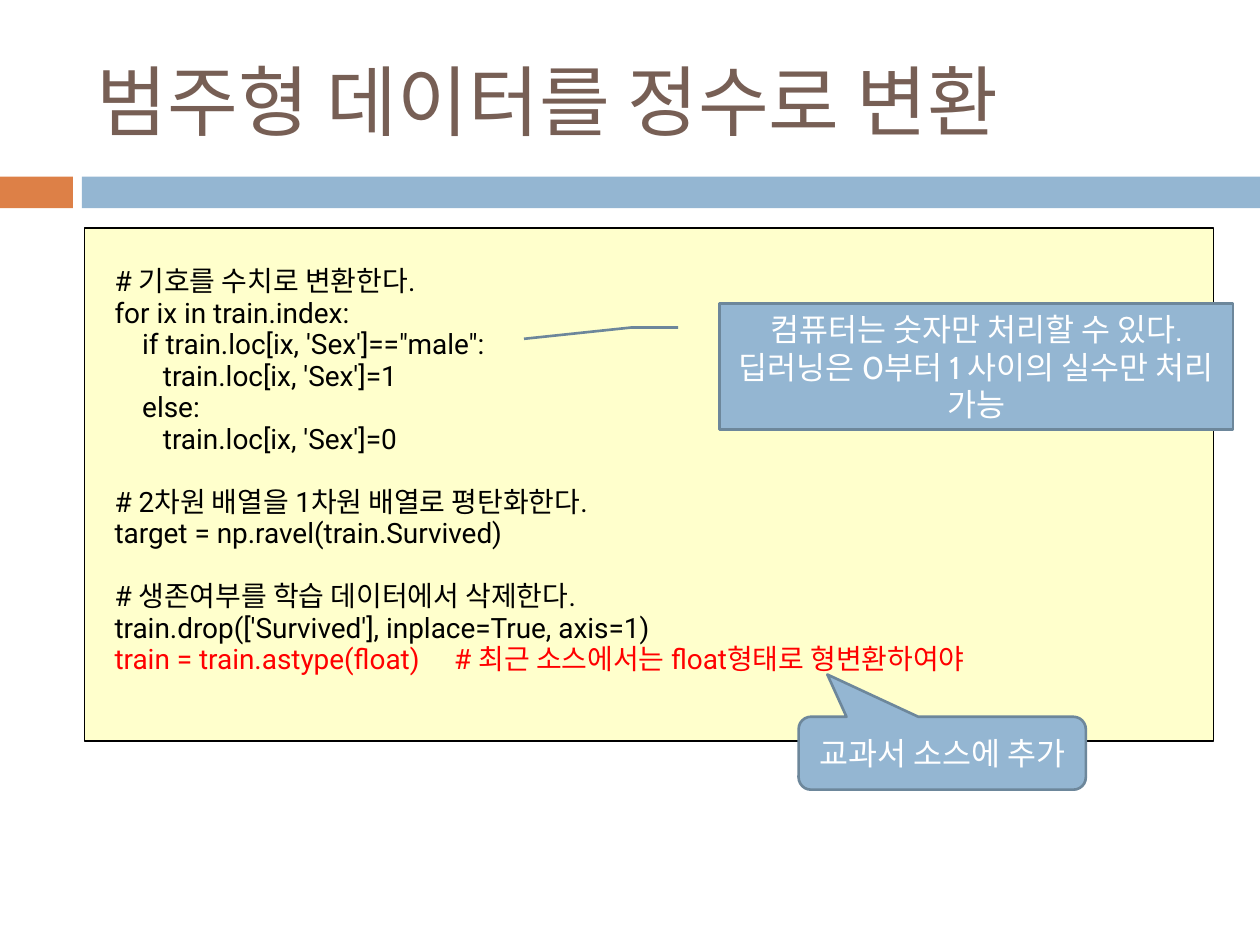
import pptx
import pptx.dml.color
import pptx.enum.shapes
import pptx.enum.text
import pptx.util

Cm = pptx.util.Cm
Pt = pptx.util.Pt
KIND = pptx.enum.shapes.MSO_SHAPE
ALIGN = pptx.enum.text.PP_ALIGN
ANCHOR = pptx.enum.text.MSO_ANCHOR

COLORS = {
    "title": "775F55",
    "orange": "DD8047",
    "blue": "94B6D2",
    "edge": "6D879B",
    "cream": "FFFFCC",
    "black": "000000",
    "red": "FF0000",
    "white": "FFFFFF",
}

CODE = """# 기호를 수치로 변환한다.
for ix in train.index:
    if train.loc[ix, 'Sex']=="male":
       train.loc[ix, 'Sex']=1
    else:
       train.loc[ix, 'Sex']=0

# 2차원 배열을 1차원 배열로 평탄화한다.
target = np.ravel(train.Survived)

# 생존여부를 학습 데이터에서 삭제한다.
train.drop(['Survived'], inplace=True, axis=1)
train = train.astype(float)     # 최근 소스에서는 float형태로 형변환하여야"""


def color(name):
    return pptx.dml.color.RGBColor.from_string(COLORS[name])


def style(para, font, size, tint):
    for run in para.runs:
        run.font.name = font
        run.font.size = Pt(size)
        run.font.color.rgb = color(tint)


def add_box(slide, kind, box, fill, edge=None, width=0):
    shape = slide.shapes.add_shape(kind, *map(Cm, box))
    shape.shadow.inherit = False
    shape.fill.solid()
    shape.fill.fore_color.rgb = color(fill)
    if edge:
        shape.line.color.rgb = color(edge)
        shape.line.width = Pt(width)
    else:
        shape.line.fill.background()
    return shape


def add_band(slide, box):
    left, top, width, height = box
    tab, gap = 1.47, 0.18
    start = tab + gap
    add_box(slide, KIND.RECTANGLE, (left, top, tab, height), "orange")
    add_box(slide, KIND.RECTANGLE,
            (left + start, top, width - start, height), "blue")


def set_title(slide, box, text):
    title = slide.shapes.title
    title.left, title.top, title.width, title.height = map(Cm, box)
    frame = title.text_frame
    frame.text = text
    frame.auto_size = pptx.enum.text.MSO_AUTO_SIZE.NONE
    frame.vertical_anchor = ANCHOR.MIDDLE
    frame.paragraphs[0].alignment = ALIGN.LEFT
    style(frame.paragraphs[0], "Cabin", 44, "title")


def add_code(slide, box, code):
    shape = add_box(slide, KIND.RECTANGLE, box, "cream", "black", 0.75)
    frame = shape.text_frame
    frame.vertical_anchor = ANCHOR.TOP
    frame.margin_left = Cm(0.61)
    frame.margin_top = Cm(0.76)
    blocks = code.split("\n\n")
    frame.text = "\n".join(blocks)
    starts = {block.split("\n")[0] for block in blocks[1:]}
    for para in frame.paragraphs:
        para.alignment = ALIGN.LEFT
        para.line_spacing = Pt(18)
        if para.text in starts:
            para.space_before = Pt(18)
        style(para, "Roboto", 16, "black")
    style(frame.paragraphs[-1], "Roboto", 16, "red")


def add_note(slide, box, kind, points, text):
    shape = add_box(slide, kind, box, "blue", "edge", 1.5)
    for index, point in enumerate(points):
        shape.adjustments[index] = point
    frame = shape.text_frame
    frame.text = text
    frame.word_wrap = True
    frame.vertical_anchor = ANCHOR.MIDDLE
    frame.paragraphs[0].alignment = ALIGN.CENTER
    style(frame.paragraphs[0], "Cabin", 18, "white")


def main():
    deck = pptx.Presentation()
    deck.slide_width, deck.slide_height = Cm(25.4), Cm(19.05)
    slide = deck.slides.add_slide(deck.slide_layouts[5])
    add_band(slide, (0, 3.56, 25.4, 0.64))
    set_title(slide, (1.7, 0.64, 22.66, 2.74), "범주형 데이터를 정수로 변환")
    add_code(slide, (1.7, 4.6, 22.76, 10.34), CODE)
    add_note(slide, (16.1, 14.45, 5.79, 1.47), KIND.ROUNDED_RECTANGULAR_CALLOUT,
             (-0.4, -1.08, 0.17), "교과서 소스에 추가")
    add_note(slide, (14.5, 6.12, 10.36, 2.54), KIND.LINE_CALLOUT_2,
             (0.19, -0.08, 0.19, -0.17, 0.28, -0.38),
             "컴퓨터는 숫자만 처리할 수 있다. 딥러닝은 0부터 1 사이의 실수만 처리 가능")
    deck.save("out.pptx")


if __name__ == "__main__":
    main()
